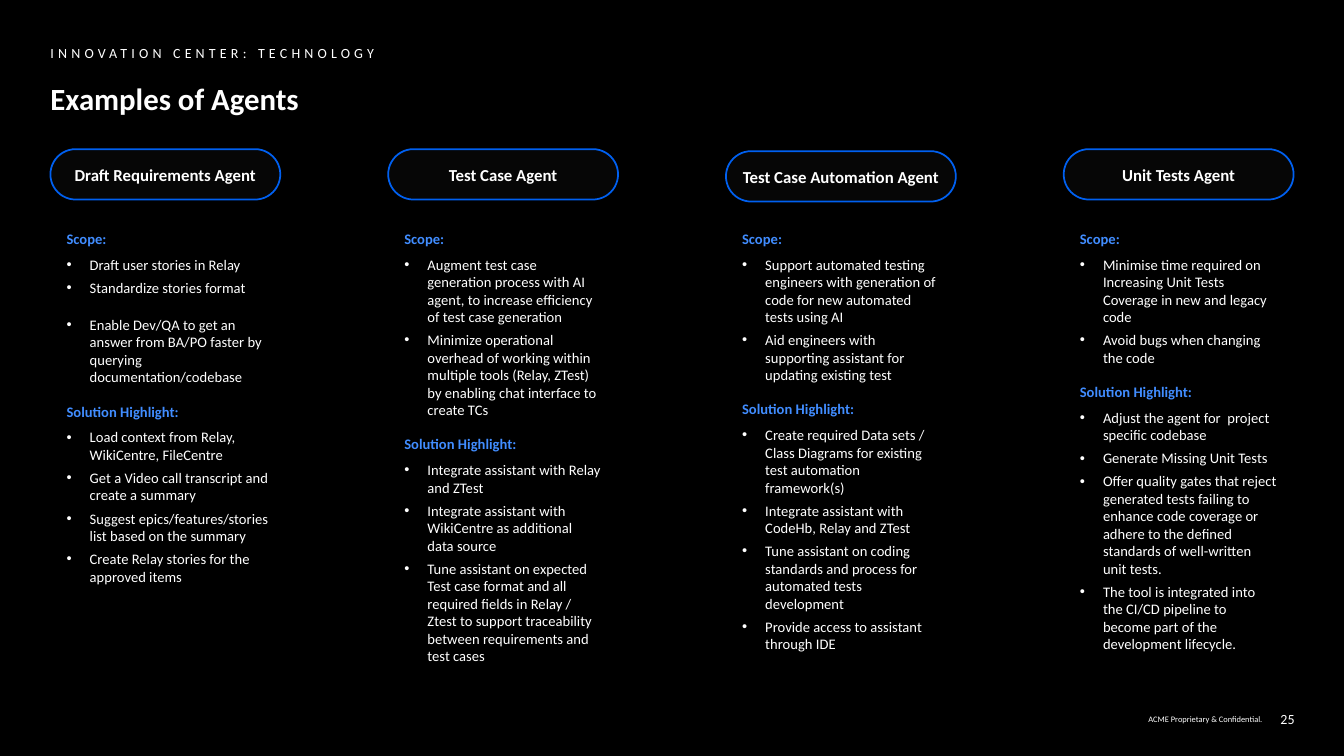
from dataclasses import dataclass

from lxml import etree
from pptx import Presentation
from pptx.dml.color import RGBColor
from pptx.enum.shapes import MSO_SHAPE as Shape
from pptx.enum.text import MSO_ANCHOR as Anchor
from pptx.enum.text import MSO_AUTO_SIZE as AutoSize
from pptx.enum.text import PP_ALIGN as Align
from pptx.oxml.ns import qn
from pptx.util import Inches, Pt

BLACK = RGBColor(0x00, 0x00, 0x00)
WHITE = RGBColor(0xFF, 0xFF, 0xFF)
PILL_FILL = RGBColor(0x06, 0x06, 0x06)
PILL_LINE = RGBColor(0x00, 0x60, 0xF0)
HEADING_BLUE = RGBColor(0x41, 0x8D, 0xFF)

LEFT, PITCH, COLUMN_WIDTH = 0.5, 3.35, 2.28
DETAILS_TOP = 2.08


@dataclass
class Agent:
    """Scope items come in groups; a wider gap follows each group."""
    name: str
    scope_groups: list
    highlights: list
    details_height: float
    details_width: float = COLUMN_WIDTH
    pill_top: float = 1.48


AGENTS = [
    Agent(
        "Draft Requirements Agent",
        [["Draft user stories in Relay", "Standardize stories format"],
         ["Enable Dev/QA to get an answer from BA/PO faster by querying documentation/codebase"]],
        ["Load context from Relay, WikiCentre, FileCentre",
         "Get a Video call transcript and create a summary",
         "Suggest epics/features/stories list based on the summary",
         "Create Relay stories for the approved items"],
        details_height=4.04, details_width=2.41),
    Agent(
        "Test Case Agent",
        [["Augment test case generation process with AI agent, to increase efficiency "
          "of test case generation",
          "Minimize operational overhead of working within multiple tools (Relay, ZTest) "
          "by enabling chat interface to create TCs"]],
        ["Integrate assistant with Relay and ZTest",
         "Integrate assistant with WikiCentre as additional data source",
         "Tune assistant on expected Test case format and all required fields in Relay / "
         "Ztest to support traceability between requirements and test cases"],
        details_height=4.55),
    Agent(
        "Test Case Automation Agent",
        [["Support automated testing engineers with generation of code for new "
          "automated tests using AI",
          "Aid engineers with supporting assistant for updating existing test"]],
        ["Create required Data sets / Class Diagrams for existing test automation framework(s)",
         "Integrate assistant with CodeHb, Relay and ZTest",
         "Tune assistant on coding standards and process for automated tests development",
         "Provide access to assistant through IDE"],
        details_height=4.76, pill_top=1.5),
    Agent(
        "Unit Tests Agent",
        [["Minimise time required on Increasing Unit Tests Coverage in new and legacy code",
          "Avoid bugs when changing the code"]],
        ["Adjust the agent for  project specific codebase",
         "Generate Missing Unit Tests",
         "Offer quality gates that reject generated tests failing to enhance code coverage "
         "or adhere to the defined standards of well-written unit tests.",
         "The tool is integrated into the CI/CD pipeline to become part of the "
         "development lifecycle."],
        details_height=4.48),
]


def write(paragraph, text, size=10.4, color=WHITE, bold=False, align=Align.LEFT,
          before=0, after=0, line_spacing=1.0, tracking=None, bullet=None):
    properties = paragraph._p.get_or_add_pPr()
    indent = Inches(0.23) if bullet else 0
    properties.set("marL", str(indent))
    properties.set("indent", str(-indent))
    if bullet:
        etree.SubElement(properties, qn("a:buFont")).set("typeface", "Arial")
        etree.SubElement(properties, qn("a:buChar")).set("char", bullet)
    else:
        etree.SubElement(properties, qn("a:buNone"))
    paragraph.alignment = align
    paragraph.space_before, paragraph.space_after = Pt(before), Pt(after)
    paragraph.line_spacing = line_spacing
    run = paragraph.add_run()
    run.text = text
    run.font.name, run.font.size, run.font.bold = "Calibri", Pt(size), bold
    run.font.color.rgb = color
    if tracking:
        run.font._element.set("spc", str(tracking * 100))


class AgentSlide:
    def __init__(self, presentation):
        self.slide = presentation.slides.add_slide(presentation.slide_layouts[1])
        background = self.slide.background.fill
        background.solid()
        background.fore_color.rgb = BLACK

    def frame(self, shape, insets=(0, 0, 0, 0), anchor=Anchor.TOP, auto_size=AutoSize.NONE):
        """Set the text margins, anchor and wrapping, and return the text frame."""
        frame = shape.text_frame
        frame.word_wrap, frame.auto_size = True, auto_size
        frame.vertical_anchor = anchor
        (frame.margin_left, frame.margin_top,
         frame.margin_right, frame.margin_bottom) = map(Inches, insets)
        return frame

    def placeholder(self, index, box, text, **style):
        holder = self.slide.placeholders[index]
        holder.left, holder.top, holder.width, holder.height = map(Inches, box)
        write(self.frame(holder).paragraphs[0], text, **style)

    def footer(self, box, text, size):
        footer = self.slide.shapes.add_textbox(*map(Inches, box))
        frame = self.frame(footer, anchor=Anchor.MIDDLE)
        write(frame.paragraphs[0], text, size=size, align=Align.RIGHT)

    def pill(self, left, agent):
        pill = self.slide.shapes.add_shape(
            Shape.ROUNDED_RECTANGLE,
            *map(Inches, (left, agent.pill_top, COLUMN_WIDTH, 0.5)))
        pill.adjustments[0] = 0.5
        pill.shadow.inherit = False
        pill.fill.solid()
        pill.fill.fore_color.rgb = PILL_FILL
        pill.line.color.rgb = PILL_LINE
        pill.line.width = Pt(1.25)
        frame = self.frame(pill, anchor=Anchor.MIDDLE)
        write(frame.paragraphs[0], agent.name, size=12, bold=True, align=Align.CENTER)

    def details(self, left, agent):
        box = self.slide.shapes.add_textbox(
            *map(Inches, (left, DETAILS_TOP, agent.details_width, agent.details_height)))
        frame = self.frame(box, (0.16, 0.2, 0.16, 0), auto_size=AutoSize.SHAPE_TO_FIT_TEXT)
        heading = dict(color=HEADING_BLUE, bold=True, after=4)
        write(frame.paragraphs[0], "Scope:", **heading)
        for group in agent.scope_groups:
            self.bullets(frame, group, last_gap=12)
        write(frame.add_paragraph(), "Solution Highlight:", **heading)
        self.bullets(frame, agent.highlights, last_gap=2)

    def bullets(self, frame, items, last_gap):
        gaps = [2] * (len(items) - 1) + [last_gap]
        for item, gap in zip(items, gaps):
            write(frame.add_paragraph(), item, before=2, after=gap, bullet="•")


def main():
    presentation = Presentation()
    presentation.slide_width, presentation.slide_height = Inches(13.33), Inches(7.5)
    page = AgentSlide(presentation)
    page.placeholder(0, (LEFT, 0.79, 12.33, 0.5), "Examples of Agents", size=22, bold=True)
    page.placeholder(1, (LEFT, 0.42, 4.71, 0.27), "INNOVATION CENTER: TECHNOLOGY",
                     size=10, line_spacing=1.1, tracking=3)
    for column, agent in enumerate(AGENTS):
        left = LEFT + column * PITCH
        page.details(left, agent)
        page.pill(left, agent)
    page.footer((10.99, 7.01, 1.53, 0.24), "ACME Proprietary & Confidential.", size=6)
    page.footer((12.57, 7.01, 0.27, 0.24), "25", size=10)
    presentation.save("out.pptx")


if __name__ == "__main__":
    main()
